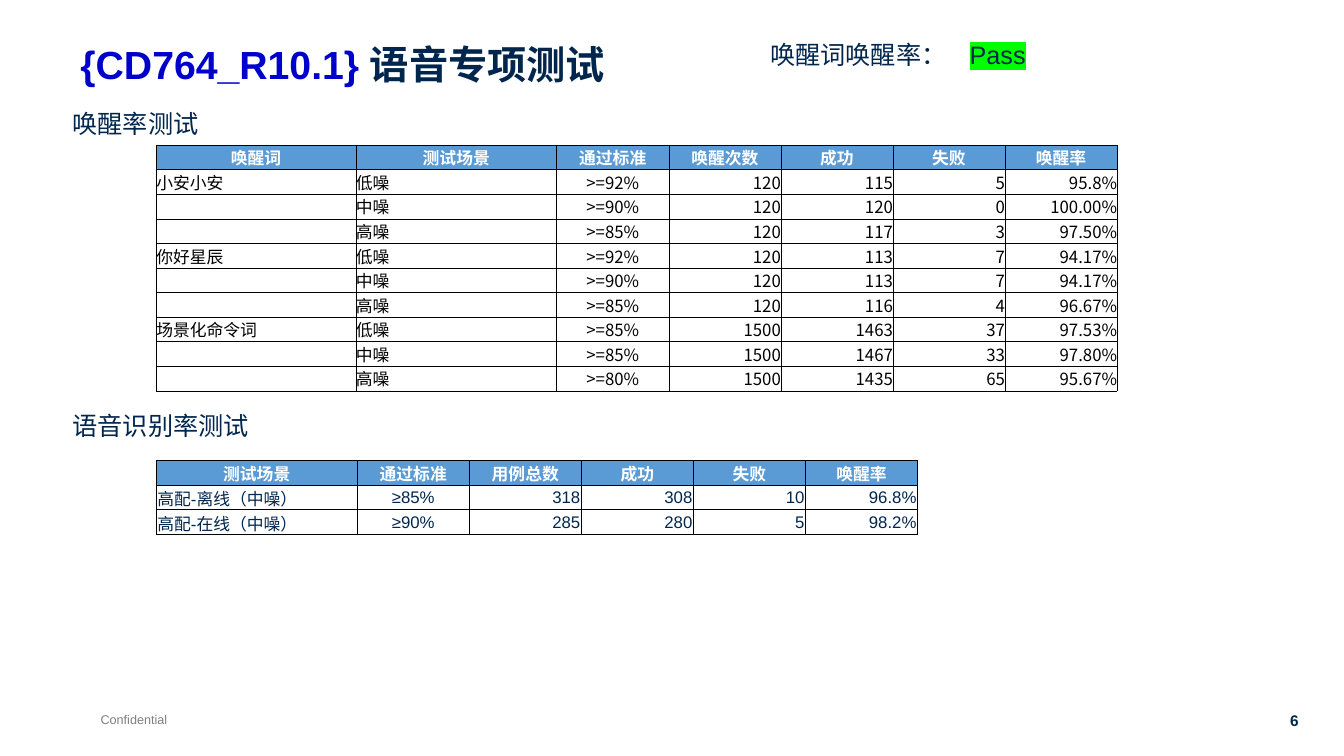
import pptx
import pptx.util
import pptx.dml.color
import pptx.enum.text
import pptx.oxml
import pptx.oxml.ns
from lxml import etree

Pt = pptx.util.Pt
Align = pptx.enum.text.PP_ALIGN
Anchor = pptx.enum.text.MSO_ANCHOR
tag = pptx.oxml.ns.qn
hues = {"navy": "00264E", "blue": "0000CC", "gray": "808080", "head": "5B9BD5",
        "white": "FFFFFF", "black": "000000", "pass": "00FF00"}
sides = {"l": Align.LEFT, "c": Align.CENTER, "r": Align.RIGHT}

deck = pptx.Presentation()
deck.slide_width = pptx.util.Inches(13.33)
deck.slide_height = pptx.util.Inches(7.5)
col = deck.slide_width / 100
row = deck.slide_height / 100
slide = deck.slides.add_slide(deck.slide_layouts[6])


def add_run(para, text, size, hue, bold=False, face="Arial"):
    run = para.add_run()
    run.text = text
    run.font.size = Pt(size)
    run.font.bold = bold
    run.font.name = face
    run.font.color.rgb = pptx.dml.color.RGBColor.from_string(hues[hue])
    return run


def add_box(left, top, width, height, wrap=True):
    box = slide.shapes.add_textbox(int(left * col), int(top * row), int(width * col), int(height * row))
    box.text_frame.word_wrap = wrap
    return box.text_frame


foot = add_box(6.75, 93.47, 6.53, 3.33, False).paragraphs[0]
add_run(foot, "Confidential", 9, "gray")

page = add_box(94.45, 93.47, 2.93, 3.87, False).paragraphs[0]
page.alignment = Align.RIGHT
add_run(page, "6", 11, "navy", True)

title = add_box(5.25, 5.33, 88.9, 8.4).paragraphs[0]
title.line_spacing = 0.9
add_run(title, "{CD764_R10.1} ", 28, "blue", True)
add_run(title, "语音专项测试", 28, "navy", True)

for top, text in ((13.73, "唤醒率测试"), (53.6, "语音识别率测试")):
    add_run(add_box(4.65, top, 32.41, 5.33).paragraphs[0], text, 18, "navy")

state = add_box(56.56, 4.53, 32.41, 5.33).paragraphs[0]
stops = etree.SubElement(state._p.get_or_add_pPr(), tag("a:tabLst"))
etree.SubElement(stops, tag("a:tab"), pos=str(int(14.85 * col)), algn="l")
add_run(state, "唤醒词唤醒率：\t", 18, "navy")
mark = add_run(state, "Pass", 18, "navy")
glow = etree.Element(tag("a:highlight"))
etree.SubElement(glow, tag("a:srgbClr"), val=hues["pass"])
mark.font.fill._xPr.find(tag("a:solidFill")).addnext(glow)

wake = [
    ("唤醒词", "测试场景", "通过标准", "唤醒次数", "成功", "失败", "唤醒率"),
    ("小安小安", "低噪", ">=92%", "120", "115", "5", "95.8%"),
    ("", "中噪", ">=90%", "120", "120", "0", "100.00%"),
    ("", "高噪", ">=85%", "120", "117", "3", "97.50%"),
    ("你好星辰", "低噪", ">=92%", "120", "113", "7", "94.17%"),
    ("", "中噪", ">=90%", "120", "113", "7", "94.17%"),
    ("", "高噪", ">=85%", "120", "116", "4", "96.67%"),
    ("场景化命令词", "低噪", ">=85%", "1500", "1463", "37", "97.53%"),
    ("", "中噪", ">=85%", "1500", "1467", "33", "97.80%"),
    ("", "高噪", ">=80%", "1500", "1435", "65", "95.67%"),
]
voice = [
    ("测试场景", "通过标准", "用例总数", "成功", "失败", "唤醒率"),
    ("高配-离线（中噪）", "≥85%", "318", "308", "10", "96.8%"),
    ("高配-在线（中噪）", "≥90%", "285", "280", "5", "98.2%"),
]
noto = "Noto Sans CJK SC"
grids = [
    (19.2, wake, [14.85, 14.95] + [8.34] * 5, "llcrrrr", noto, "black", 0),
    (60.93, voice, [14.95] + [8.34] * 5, "lcrrrr", "Arial", "navy", 0.01),
]

for top, data, spans, flow, face, hue, pad in grids:
    frame = slide.shapes.add_table(len(data), len(spans), int(11.63 * col), int(top * row),
                                   int(sum(spans) * col), int(3.25 * row * len(data)))
    table = frame.table
    table.first_row = False
    table.horz_banding = False
    for n, span in enumerate(spans):
        table.columns[n].width = int(span * col)
    for r, line in enumerate(data):
        table.rows[r].height = int(3.25 * row)
        for c, text in enumerate(line):
            cell = table.cell(r, c)
            inset = pptx.util.Inches(pad if r else 0)
            cell.margin_left = cell.margin_right = cell.margin_top = inset
            cell.margin_bottom = 0
            cell.vertical_anchor = Anchor.MIDDLE
            for edge in ("lnL", "lnR", "lnT", "lnB"):
                rule = etree.SubElement(cell._tc.get_or_add_tcPr(), tag("a:" + edge), w=str(Pt(0.5)))
                ink = etree.SubElement(rule, tag("a:solidFill"))
                etree.SubElement(ink, tag("a:srgbClr"), val=hues["black"])
            para = cell.text_frame.paragraphs[0]
            para.alignment = sides[flow[c]] if r else Align.CENTER
            if r:
                cell.fill.background()
            else:
                cell.fill.solid()
                cell.fill.fore_color.rgb = pptx.dml.color.RGBColor.from_string(hues["head"])
            if text:
                add_run(para, text, 12, hue if r else "white", not r, face if r else noto)
            else:
                etree.SubElement(para._p, tag("a:endParaRPr"), sz="1200")

deck.save("out.pptx")
